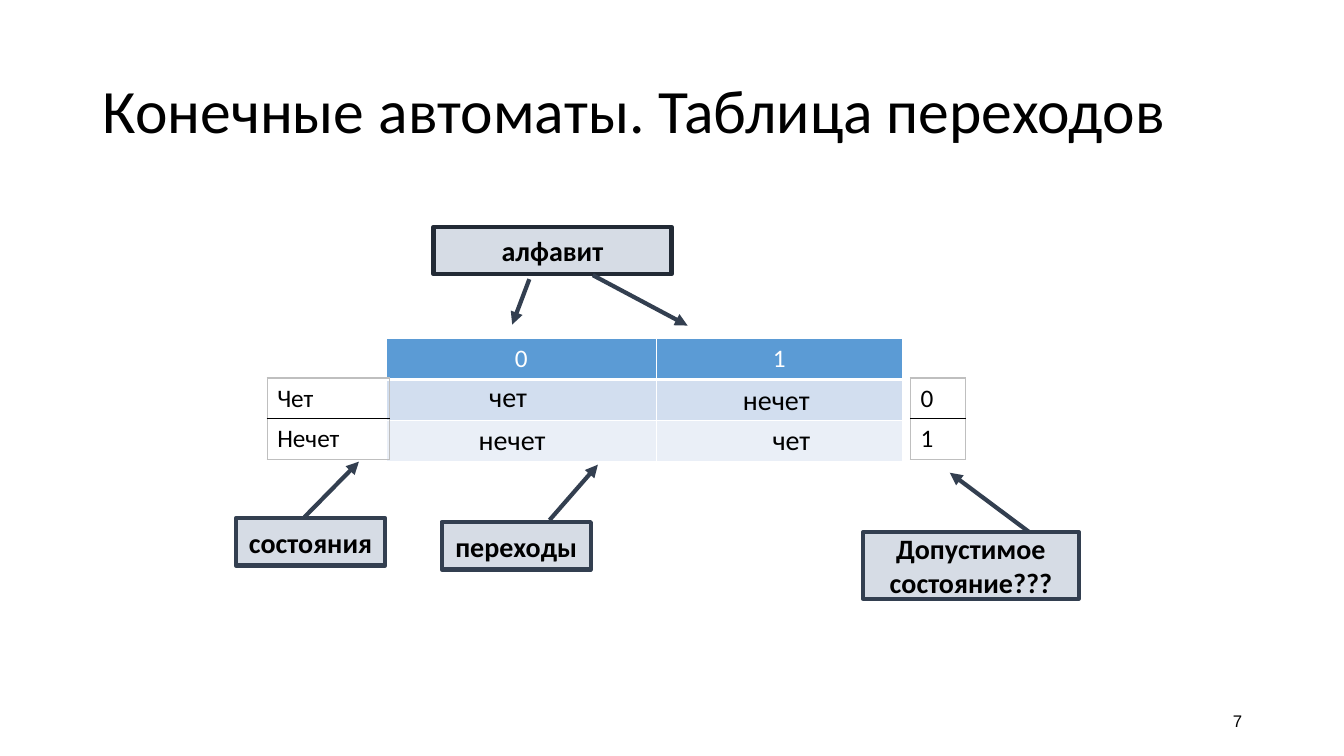
from lxml import etree
from pptx import Presentation
from pptx.dml.color import RGBColor
from pptx.enum.shapes import MSO_CONNECTOR, MSO_SHAPE
from pptx.enum.text import MSO_ANCHOR, MSO_AUTO_SIZE, PP_ALIGN
from pptx.oxml.ns import qn
from pptx.util import Inches, Pt

LEFT, CENTER, RIGHT = PP_ALIGN.LEFT, PP_ALIGN.CENTER, PP_ALIGN.RIGHT
TOP, MIDDLE = MSO_ANCHOR.TOP, MSO_ANCHOR.MIDDLE
FIT = MSO_AUTO_SIZE.SHAPE_TO_FIT_TEXT
RECT, STRAIGHT = MSO_SHAPE.RECTANGLE, MSO_CONNECTOR.STRAIGHT

BLACK, WHITE, GREY = "000000", "FFFFFF", "BFBFBF"
HEADER, BAND_1, BAND_2 = "5B9BD5", "D2DEEF", "EAEFF7"
LABEL_FILL, LABEL_LINE, ALPHABET_LINE = "D6DCE5", "333F50", "222A35"
ROW_H = 0.405

TITLE = "Конечные автоматы. Таблица переходов"
PAGE = "7"
ALPHABET = ["0", "1"]
# text, left, top
TRANSITIONS = [
    ("чет", 4.49, 3.72), ("нечет", 7.15, 3.75),
    ("нечет", 4.53, 4.14), ("чет", 7.3, 4.14),
]
# left, width, rows
SIDE_TABLES = [(2.65, 1.21, ["Чет", "Нечет"]), (9.03, 0.55, ["0", "1"])]
# text, box, line colour, arrows (x1, y1, x2, y2)
LABELS = [
    ("алфавит", (4.3, 2.25, 2.36, 0.47), ALPHABET_LINE,
     [(5.25, 2.77, 5.08, 3.22), (5.88, 2.73, 6.82, 3.23)]),
    ("переходы", (4.38, 5.18, 1.48, 0.47), LABEL_LINE, [(5.45, 5.16, 5.93, 4.61)]),
    ("состояния", (2.34, 5.14, 1.48, 0.47), LABEL_LINE, [(3.02, 5.13, 3.56, 4.58)]),
    ("Допустимое состояние???", (8.56, 5.28, 2.14, 0.66), LABEL_LINE,
     [(10.21, 5.28, 9.42, 4.69)]),
]


def rgb(color):
    return RGBColor.from_string(color)


def inches(box):
    return [Inches(v) for v in box]


def write(tf, text, size, align=CENTER, color=BLACK, name="Calibri", bold=False):
    p = tf.paragraphs[0]
    p.alignment = align
    r = p.add_run()
    r.text = text
    r.font.color.rgb = rgb(color)
    for key, value in {"size": Pt(size), "name": name, "bold": bold}.items():
        setattr(r.font, key, value)
    return p


def add_text(box, text, size, anchor=TOP, fit=MSO_AUTO_SIZE.NONE, **style):
    tf = slide.shapes.add_textbox(*inches(box)).text_frame
    for key, value in {"word_wrap": True, "auto_size": fit, "vertical_anchor": anchor}.items():
        setattr(tf, key, value)
    return write(tf, text, size, **style)


def add_borders(cell, borders):
    """Draw the L, R, T and B borders, given in that order as (colour, points)."""
    tc_pr = cell._tc.get_or_add_tcPr()
    for i, (side, (color, width)) in enumerate(zip("LRTB", borders)):
        ln = etree.Element(qn(f"a:ln{side}"), w=str(Pt(width)))
        fill = etree.SubElement(ln, qn("a:solidFill"))
        etree.SubElement(fill, qn("a:srgbClr"), val=color)
        tc_pr.insert(i, ln)


def add_table(left, top, widths, rows):
    frame = slide.shapes.add_table(
        rows, len(widths), *inches((left, top, sum(widths), rows * ROW_H)))
    table = frame.table
    table.first_row = table.horz_banding = False
    for column, width in zip(table.columns, widths):
        column.width = Inches(width)
    for row in table.rows:
        row.height = Inches(ROW_H)
    return table


def add_arrow(shapes, ends):
    line = shapes.add_connector(STRAIGHT, *inches(ends))
    line.line.color.rgb = rgb(LABEL_LINE)
    line.line.width = Pt(3)
    etree.SubElement(line.line._get_or_add_ln(), qn("a:tailEnd"), type="triangle")
    etree.SubElement(line._element.spPr, qn("a:effectLst"))


def add_label(text, box, line_color, arrows):
    shapes = slide.shapes.add_group_shape().shapes
    sp = shapes.add_shape(RECT, *inches(box))
    sp.shadow.inherit = False
    sp.fill.solid()
    sp.fill.fore_color.rgb = rgb(LABEL_FILL)
    sp.line.color.rgb = rgb(line_color)
    sp.line.width = Pt(3)
    sp.text_frame.word_wrap = True
    sp.text_frame.vertical_anchor = MIDDLE
    write(sp.text_frame, text, 20, bold=True)
    for ends in arrows:
        add_arrow(shapes, ends)


prs = Presentation()
prs.slide_width, prs.slide_height = Inches(13.33), Inches(7.5)
slide = prs.slides.add_slide(prs.slide_layouts[6])

title = add_text((0.92, 0.4, 11.5, 1.45), TITLE, 44, MIDDLE, align=LEFT)
title.line_spacing = 0.9

table = add_table(3.83, 3.36, [2.68, 2.44], 3)
thin, thick = (WHITE, 1), (WHITE, 3)
for i, fill in enumerate([HEADER, BAND_1, BAND_2]):
    for j, symbol in enumerate(ALPHABET):
        cell = table.cell(i, j)
        cell.fill.solid()
        cell.fill.fore_color.rgb = rgb(fill)
        if i == 0:
            write(cell.text_frame, symbol, 18, color=WHITE)
        add_borders(cell, [thin, thin, thick if i == 1 else thin, thick if i == 0 else thin])

add_text((9.42, 6.95, 3, 0.4), PAGE, 12, MIDDLE, align=RIGHT, name="Arial")

for text, left, top in TRANSITIONS:
    add_text((left, top, 1.1, 0.44), text, 20, fit=FIT)

outer, inner = (GREY, 1), (BLACK, 1)
for left, width, states in SIDE_TABLES:
    table = add_table(left, 3.75, [width], len(states))
    for i, state in enumerate(states):
        cell = table.cell(i, 0)
        cell.fill.background()
        write(cell.text_frame, state, 18, LEFT)
        last = i == len(states) - 1
        add_borders(cell, [outer, outer, inner if i else outer, outer if last else inner])

for label in LABELS:
    add_label(*label)

prs.save("out.pptx")
